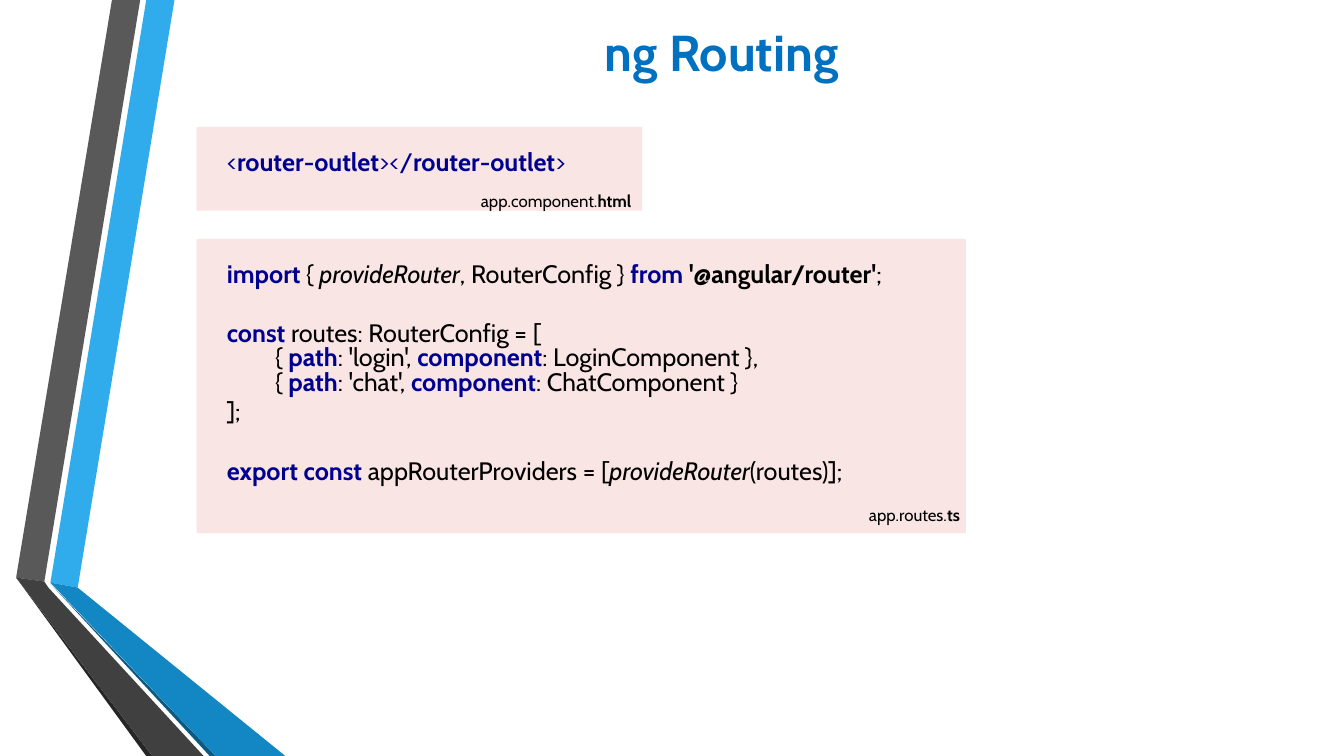
from lxml.etree import SubElement as Sub
from pptx import Presentation
from pptx.dml.color import RGBColor
from pptx.enum.shapes import MSO_SHAPE as Shape
from pptx.enum.text import MSO_ANCHOR as Anchor, PP_ALIGN as Align
from pptx.oxml.ns import qn
from pptx.util import Inches, Pt

NAVY, BLACK, BLUE, ROSE = "000090", "000000", "0070C0", "D64A3B"
FACE = {"name": "Cabin"}
KEY = {"bold": True, "ink": NAVY}
TAG = {"ink": NAVY}
TEXT = {"ink": BLACK}
BOLD = {"bold": True, "ink": BLACK}
CALL = {"italic": True, "ink": BLACK}
BREAK = None

BANDS = [
    ("30ACEC", [(3.75, 77.07), (5.78, 77.73), (12.98, 0), (10.88, 0)]),
    ("595959", [(10.43, 0), (8.33, 0), (1.2, 76.4), (3.3, 76.93)]),
    ("262626", [(1.2, 76.4), (10.88, 100), (11.33, 100)]),
    ("0C5A82", [(3.75, 77.2), (15.6, 100), (16.05, 100)]),
    ("1287C3", [(3.75, 77.07), (16.05, 100), (21.23, 100), (5.78, 77.73)]),
    ("404040", [(15.15, 100), (3.6, 77.73), (3.3, 76.93), (1.2, 76.4),
                (11.33, 100)]),
]

OUTLET = [
    (4, [("<", TAG), ("router-outlet", KEY), ("></", TAG),
         ("router-outlet", KEY), (">", TAG)]),
]


def route(name, view, end):
    return [BREAK, ("{ ", TEXT), ("path", KEY), (f": '{name}', ", TEXT),
            ("component", KEY), (f": {view} }}{end}", TEXT)]


ROUTES = [
    (4, [("import ", KEY), ("{ ", TEXT), ("provideRouter", CALL),
         (", RouterConfig } ", TEXT), ("from", KEY),
         (" '@angular/router'", BOLD), (";", TEXT)]),
    (25, [("const ", KEY), ("routes: RouterConfig = [", TEXT),
          *route("login", "LoginComponent", ","),
          *route("chat", "ChatComponent", "")]),
    (4, [("];", TEXT)]),
    (25, [("export const ", KEY), ("appRouterProviders = [", TEXT),
          ("provideRouter", CALL), ("(routes)];", TEXT)]),
]


def style(item, form):
    for name, value in form.items():
        setattr(item, name, value)


def paint(fill, ink, alpha=None):
    fill.solid()
    fill.fore_color.rgb = RGBColor.from_string(ink)
    if alpha:
        tint = fill._xPr.find(qn("a:solidFill"))[0]
        Sub(tint, qn("a:alpha")).set("val", str(alpha * 1000))


def spot(box, x, y):
    left, top, wide, high = box
    return round(left + wide * x / 100), round(top + high * y / 100)


def part(box, x, y, w, h):
    return (*spot(box, x, y), round(box[2] * w / 100), round(box[3] * h / 100))


def plain(shape, ink, alpha=None):
    shape.shadow.inherit = False
    shape.line.fill.background()
    paint(shape.fill, ink, alpha)


def write(para, runs, size):
    for run in runs:
        if run is BREAK:
            para.add_line_break()
            continue
        words, look = run
        item = para.add_run()
        item.text = words
        form = {**FACE, "size": Pt(size), "bold": False, **look}
        ink = form.pop("ink")
        style(item.font, form)
        paint(item.font.fill, ink)


def ribbon(slide, box):
    for ink, spots in BANDS:
        first, *rest = [spot(box, *pair) for pair in spots]
        path = slide.shapes.build_freeform(*first, scale=1)
        path.add_line_segments(rest, close=True)
        plain(path.convert_to_shape(), ink)


def head(slide, box, words):
    title = slide.shapes.title
    style(title, dict(zip(("left", "top", "width", "height"), box)))
    frame = title.text_frame
    style(frame, {"vertical_anchor": Anchor.MIDDLE, "word_wrap": True})
    para = frame.paragraphs[0]
    para.alignment = Align.CENTER
    write(para, [(words, {"bold": True, "ink": BLUE})], 36)


def panel(slide, box, lines, label, name, kind):
    card = slide.shapes.add_shape(Shape.RECTANGLE, *box)
    plain(card, ROSE, 14)
    frame = card.text_frame
    style(frame, {"vertical_anchor": Anchor.TOP, "word_wrap": True,
                  "margin_left": Inches(0.3), "margin_right": Inches(0.3),
                  "margin_top": Inches(0.25), "margin_bottom": Inches(0.25)})
    hang = Inches(0.48)
    for order, (gap, runs) in enumerate(lines):
        para = frame.add_paragraph() if order else frame.paragraphs[0]
        style(para, {"alignment": Align.LEFT, "line_spacing": 0.8,
                     "space_before": Pt(gap)})
        props = para._p.get_or_add_pPr()
        props.set("marL", str(hang))
        props.set("indent", str(-hang))
        write(para, runs, 18)
    note = slide.shapes.add_textbox(*part(box, *label)).text_frame
    note.word_wrap = True
    para = note.paragraphs[0]
    para.alignment = Align.RIGHT
    write(para, [(name, TEXT), (kind, BOLD)], 12)


def main():
    deck = Presentation()
    style(deck, {"slide_width": Inches(13.33), "slide_height": Inches(7.5)})
    page = (0, 0, deck.slide_width, deck.slide_height)
    slide = deck.slides.add_slide(deck.slide_layouts[5])
    ribbon(slide, page)
    head(slide, part(page, 12.6, 3.2, 82.2, 7.2), "ng Routing")
    panel(slide, part(page, 14.63, 31.6, 57.24, 38.93), ROUTES,
          (81.9, 88.7, 18.6, 10.6), "app.routes.", "ts")
    panel(slide, part(page, 14.63, 16.8, 33.16, 11.07), OUTLET,
          (60.2, 69.9, 39.6, 36.1), "app.component.", "html")
    deck.save("out.pptx")


if __name__ == "__main__":
    main()
